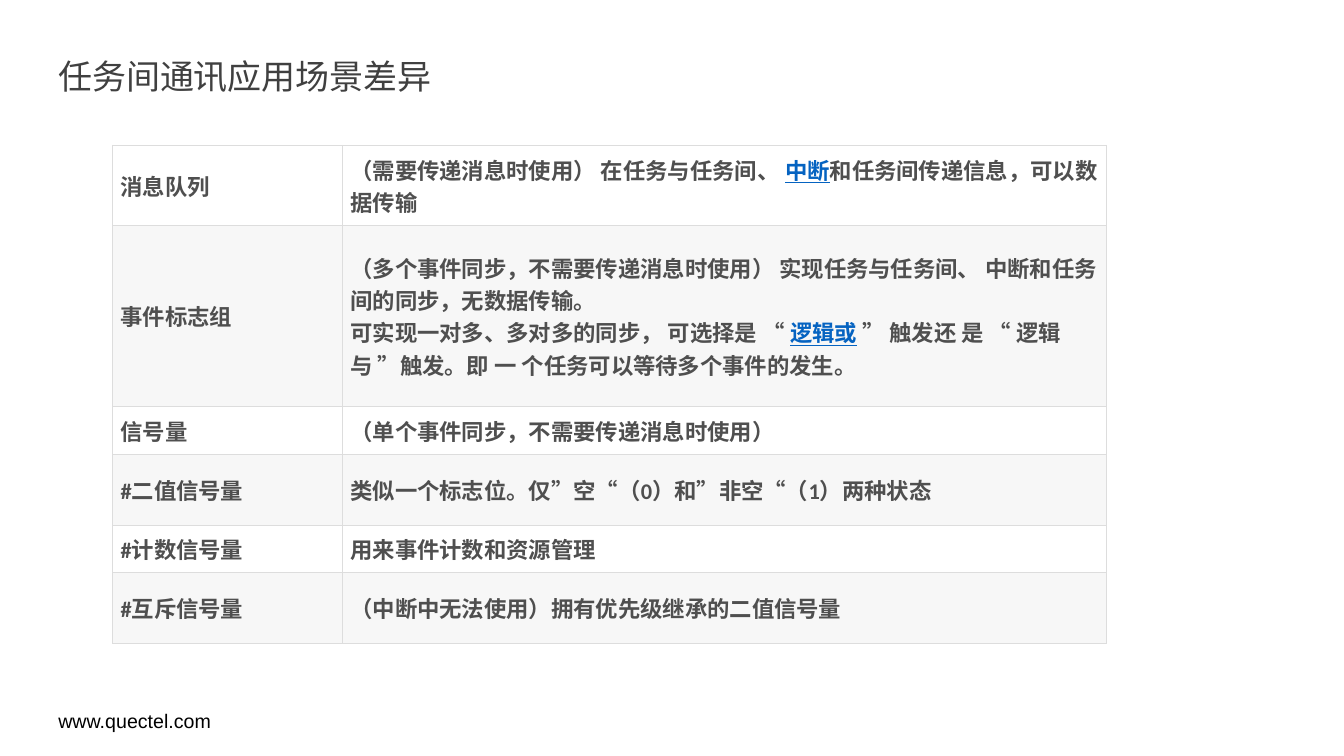
import pptx
import pptx.util
import pptx.dml.color
import pptx.enum.text
import pptx.oxml
import pptx.oxml.ns

Cm = pptx.util.Cm
ANCHOR = pptx.enum.text.MSO_ANCHOR

COLORS = {
    "title": "404040",
    "body": "4F4F4F",
    "link": "0563C1",
    "footer": "000000",
    "border": "DDDDDD",
    "odd": "FFFFFF",
    "even": "F7F7F7",
}
CJK_FONT = "Noto Sans CJK SC"
TITLE = "任务间通讯应用场景差异"
FOOTER = "www.quectel.com"
LINKS = {"中断", "逻辑或"}
ROWS = [
    (2.02, "消息队列", [
        ["（需要传递消息时使用） 在任务与任务间、 ", "中断", "和任务间传递信息，可以数据传输"],
    ]),
    (4.56, "事件标志组", [
        ["（多个事件同步，不需要传递消息时使用） 实现任务与任务间、 中断和任务间的同步，无数据传输。"],
        ["可实现一对多、多对多的同步， 可选择是 “ ", "逻辑或",
         " ” 触发还 是 “ 逻辑与 ”触发。即 一 个任务可以等待多个事件的发生。"],
    ]),
    (1.2, "信号量", [["（单个事件同步，不需要传递消息时使用）"]]),
    (1.79, "#二值信号量", [["类似一个标志位。仅”空“（0）和”非空“（1）两种状态"]]),
    (1.2, "#计数信号量", [["用来事件计数和资源管理"]]),
    (1.79, "#互斥信号量", [["（中断中无法使用）拥有优先级继承的二值信号量"]]),
]
COLUMN_WIDTHS = [5.79, 19.25]


def rgb(name):
    return pptx.dml.color.RGBColor.from_string(COLORS[name])


def write_text(frame, paragraphs, size, font, color, bold=False, spacing=None):
    frame.word_wrap = True
    for index, pieces in enumerate(paragraphs):
        paragraph = frame.add_paragraph() if index else frame.paragraphs[0]
        if spacing:
            paragraph.line_spacing = spacing
        for piece in pieces:
            run = paragraph.add_run()
            run.text = piece
            linked = piece in LINKS
            run.font.size = pptx.util.Pt(size)
            run.font.name = font
            run.font.bold = bold
            run.font.underline = linked
            run.font.color.rgb = rgb("link" if linked else color)
            east_asian = pptx.oxml.parse_xml(
                f'<a:ea {pptx.oxml.ns.nsdecls("a")} typeface="{CJK_FONT}"/>')
            run.font._element.find(pptx.oxml.ns.qn("a:latin")).addnext(east_asian)


def add_label(slide, text, top, height, anchor, **text_format):
    shape = slide.shapes.add_textbox(Cm(1.22), Cm(top), Cm(30.73), Cm(height))
    shape.text_frame.vertical_anchor = anchor
    write_text(shape.text_frame, [[text]], spacing=0.9, **text_format)


def format_cell(cell, fill):
    cell.vertical_anchor = ANCHOR.MIDDLE
    cell.margin_left = cell.margin_right = Cm(0.2)
    cell.margin_top = cell.margin_bottom = Cm(0.2)
    properties = cell._tc.get_or_add_tcPr()
    for side in "LRTB":
        properties.append(pptx.oxml.parse_xml(
            f'<a:ln{side} {pptx.oxml.ns.nsdecls("a")} w="9525"><a:solidFill>'
            f'<a:srgbClr val="{COLORS["border"]}"/></a:solidFill></a:ln{side}>'))
    cell.fill.solid()
    cell.fill.fore_color.rgb = rgb(fill)


def add_comparison(slide):
    height = sum(row[0] for row in ROWS)
    table = slide.shapes.add_table(
        len(ROWS), len(COLUMN_WIDTHS), Cm(2.84), Cm(3.66),
        Cm(sum(COLUMN_WIDTHS)), Cm(height)).table
    table.first_row = False
    table.horz_banding = False
    for column, width in zip(table.columns, COLUMN_WIDTHS):
        column.width = Cm(width)
    for index, (row_height, name, usage) in enumerate(ROWS):
        table.rows[index].height = Cm(row_height)
        for column, paragraphs in enumerate(([[name]], usage)):
            cell = table.cell(index, column)
            format_cell(cell, "even" if index % 2 else "odd")
            write_text(cell.text_frame, paragraphs, 16, "Calibri", "body", bold=True)


def main():
    presentation = pptx.Presentation()
    presentation.slide_width = Cm(33.87)
    presentation.slide_height = Cm(19.05)
    slide = presentation.slides.add_slide(presentation.slide_layouts[6])
    add_label(slide, FOOTER, 17.81, 0.79, ANCHOR.MIDDLE,
              size=14, font="Arial", color="footer")
    add_label(slide, TITLE, 1.4, 1.24, ANCHOR.TOP,
              size=24.3, font=CJK_FONT, color="title")
    add_comparison(slide)
    presentation.save("out.pptx")


if __name__ == "__main__":
    main()
